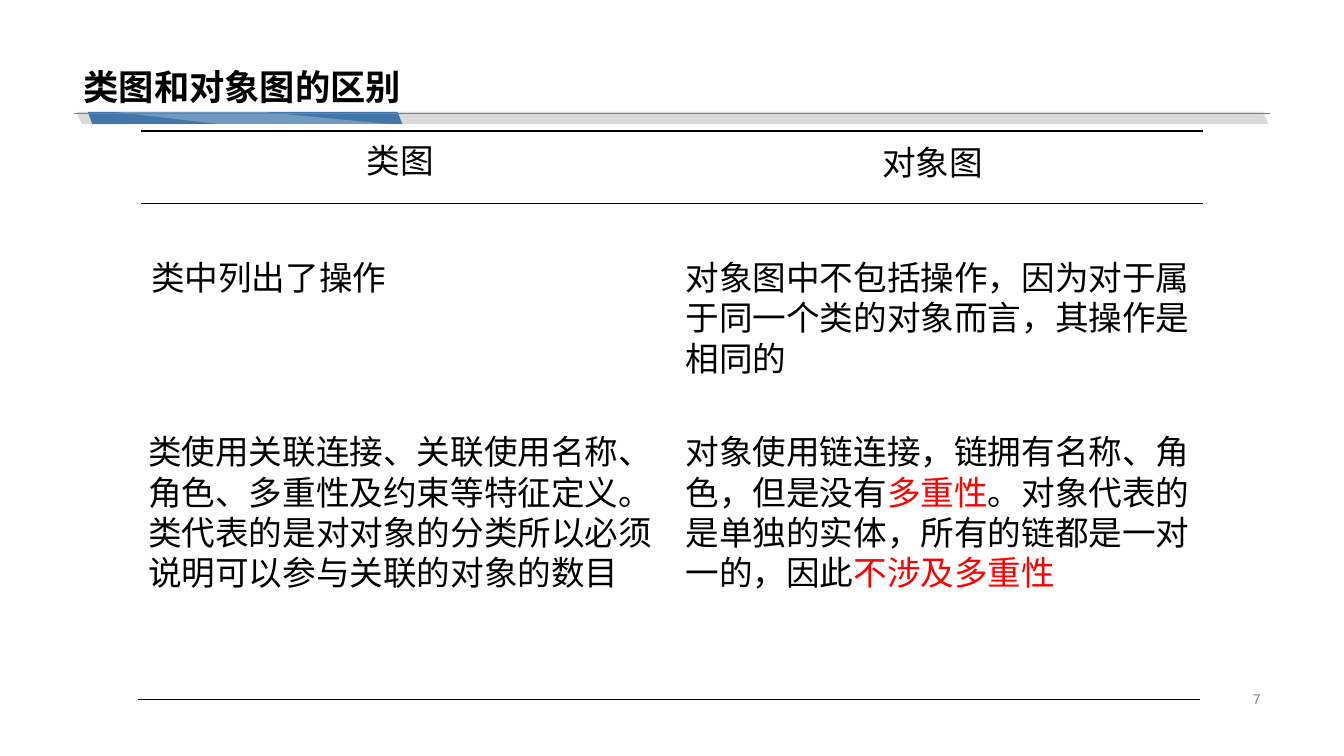
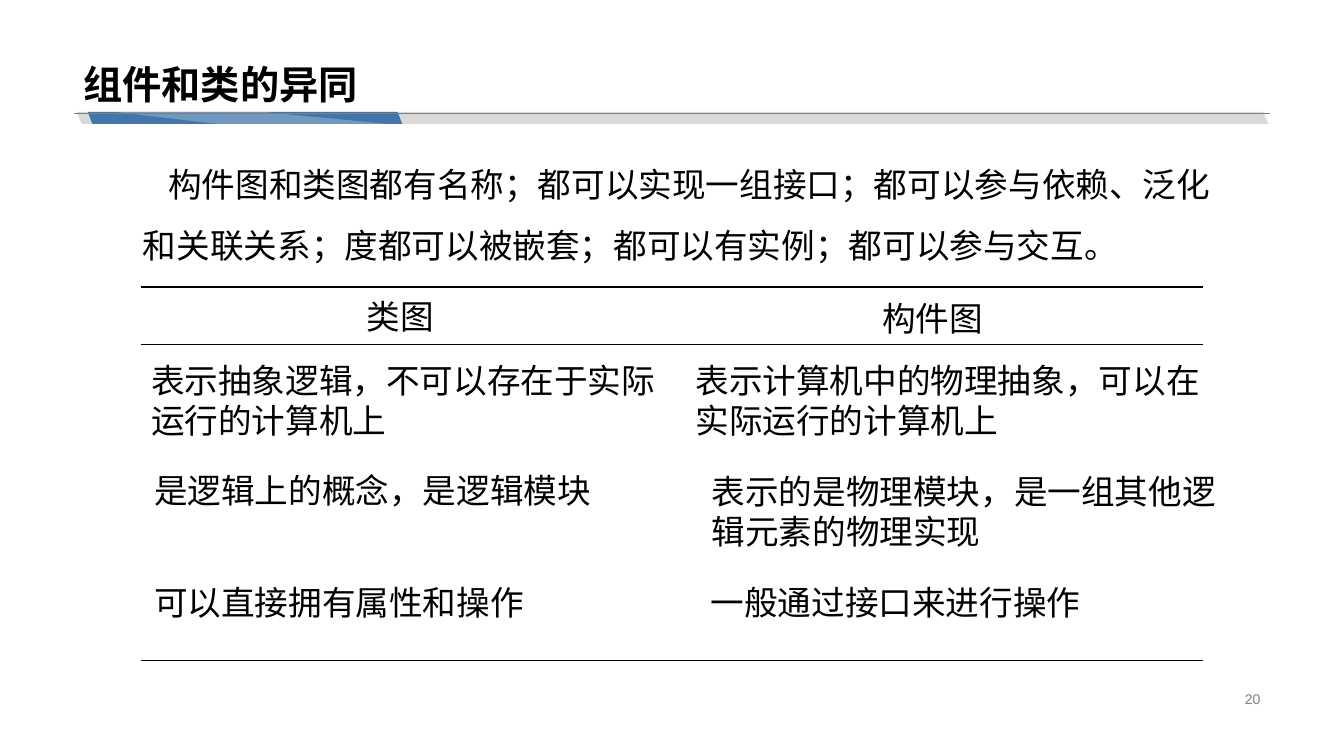
"""Build two slides that compare UML diagram types."""
from dataclasses import dataclass

from lxml.etree import SubElement
from pptx import Presentation
from pptx.dml.color import RGBColor
from pptx.enum.shapes import MSO_CONNECTOR, MSO_SHAPE
from pptx.enum.text import MSO_ANCHOR, PP_ALIGN
from pptx.oxml.ns import qn
from pptx.util import Inches, Pt


@dataclass(frozen=True)
class Theme:
    ink: RGBColor = RGBColor(0, 0, 0)
    accent: RGBColor = RGBColor(0xFF, 0, 0)
    muted: RGBColor = RGBColor(0x80, 0x80, 0x80)
    track: RGBColor = RGBColor(0xD9, 0xD9, 0xD9)
    blue: RGBColor = RGBColor(0x42, 0x76, 0xAA)
    white: RGBColor = RGBColor(0xFF, 0xFF, 0xFF)
    latin: str = "Arial"
    cjk: str = "Noto Sans CJK SC"
    body: float = 24
    small: float = 10
    thick: float = 1.5
    thin: float = 0.75
    hair: float = 0.25


T = Theme()


def add_text(s, text, x, y, w, h, size=T.body, font=T.cjk, color=T.ink, bold=False, wrap=True,
             anchor=MSO_ANCHOR.TOP, align=PP_ALIGN.LEFT, spacing=1.0, indent=0):
    """Add a text box; parts between bars take the accent colour."""
    tf = s.shapes.add_textbox(Inches(x), Inches(y), Inches(w), Inches(h)).text_frame
    tf.word_wrap = wrap
    tf.vertical_anchor = anchor
    p = tf.paragraphs[0]
    p.alignment = align
    p.line_spacing = spacing
    if indent:
        p._p.get_or_add_pPr().set("indent", str(Inches(indent)))
    for i, part in enumerate(text.split("|")):
        if part:
            r = p.add_run()
            r.text = part
            r.font.size = Pt(size)
            r.font.name = font
            r.font.bold = bold
            r.font.color.rgb = T.accent if i % 2 else color
            SubElement(r._r.get_or_add_rPr(), qn("a:ea")).set("typeface", T.cjk)


def add_rule(s, x, y, w, weight=T.thin, color=T.ink):
    """Add a horizontal line."""
    line = s.shapes.add_connector(MSO_CONNECTOR.STRAIGHT, Inches(x), Inches(y), Inches(x + w), Inches(y))
    line.line.width = Pt(weight)
    line.line.color.rgb = color
    SubElement(line._element.spPr, qn("a:effectLst"))


slides = [
    dict(
        title="类图和对象图的区别", title_size=25.2, number="7", intro="",
        rules=[(1.4, 1.3, T.thick), (1.4, 2.02, T.thin), (1.37, 6.94, T.thin)],
        heads=["类图", "对象图"], head_y=1.34,
        cells=[
            ("类中列出了操作", 1.4, 2.5, 1),
            ("对象图中不包括操作，因为对于属于同一个类的对象而言，其操作是相同的", 6.7, 2.5, 3),
            ("类使用关联连接、关联使用名称、角色、多重性及约束等特征定义。"
             "类代表的是对对象的分类所以必须说明可以参与关联的对象的数目", 1.37, 4.23, 4),
            ("对象使用链连接，链拥有名称、角色，但是没有|多重性|。对象代表的是单独的实体，"
             "所有的链都是一对一的，因此|不涉及多重性|", 6.7, 4.23, 4),
        ],
    ),
    dict(
        title="组件和类的异同", title_size=28, number="20",
        intro="构件图和类图都有名称；都可以实现一组接口；都可以参与依赖、泛化和关联关系；"
              "度都可以被嵌套；都可以有实例；都可以参与交互。",
        rules=[(1.4, 2.85, T.thick), (1.4, 3.42, T.thin), (1.4, 6.55, T.thin)],
        heads=["类图", "构件图"], head_y=2.89,
        cells=[
            ("表示抽象逻辑，不可以存在于实际运行的计算机上", 1.4, 3.52, 2),
            ("表示计算机中的物理抽象，可以在实际运行的计算机上", 6.8, 3.52, 2),
            ("是逻辑上的概念，是逻辑模块", 1.43, 4.61, 1),
            ("表示的是物理模块，是一组其他逻辑元素的物理实现", 6.96, 4.62, 2),
            ("可以直接拥有属性和操作", 1.43, 5.72, 1),
            ("一般通过接口来进行操作", 6.95, 5.72, 1),
        ],
    ),
]

prs = Presentation()
prs.slide_width, prs.slide_height = Inches(13.33), Inches(7.5)

for data in slides:
    s = prs.slides.add_slide(prs.slide_layouts[6])

    for x, w, slant, color in [(0.76, 11.82, 0.42, T.track), (0.87, 3.12, 0.39, T.blue)]:
        sp = s.shapes.add_shape(MSO_SHAPE.PARALLELOGRAM, Inches(x), Inches(1.11), Inches(w), Inches(0.12))
        sp.adjustments[0] = slant
        sp._element.spPr.xfrm.set("flipH", "1")
        sp.shadow.inherit = False
        sp.fill.solid()
        sp.fill.fore_color.rgb = color
        sp.line.fill.background()

    outline = s.shapes.build_freeform(Inches(3.85), Inches(1.23))
    outline.add_line_segments([(Inches(x), Inches(y)) for x, y in [(2.6, 1.11), (1.14, 1.11), (2.16, 1.23)]])
    glint = outline.convert_to_shape()
    glint.shadow.inherit = False
    glint.fill.solid()
    glint.fill.fore_color.rgb = T.white
    glint.line.fill.background()
    tint = glint._element.spPr.find(qn("a:solidFill"))[0]
    SubElement(tint, qn("a:alpha")).set("val", "25000")

    add_rule(s, 0.73, 1.12, 11.87, T.hair, T.muted)
    add_text(s, data["title"], 0.73, 0.51, 11.87, 0.61, size=data["title_size"], font=T.latin, bold=True,
             anchor=MSO_ANCHOR.BOTTOM, spacing=0.9)
    add_text(s, data["number"], 9.42, 6.82, 3.18, 0.23, size=T.small, font=T.latin, color=T.muted,
             anchor=MSO_ANCHOR.MIDDLE, align=PP_ALIGN.RIGHT)

    if data["intro"]:
        add_text(s, data["intro"], 1.32, 1.38, 10.96, 1.22, spacing=1.5, indent=0.25)
    for x, y, weight in data["rules"]:
        add_rule(s, x, y, 10.53, weight)
    for text, x, w, drop in zip(data["heads"], (3.54, 8.65), (0.99, 1.26), (0, 0.02)):
        add_text(s, text, x, data["head_y"] + drop, w, 0.5, wrap=False)
    for text, x, y, lines in data["cells"]:
        add_text(s, text, x, y, 5.24, 0.1 + 0.4 * lines)

prs.save("out.pptx")
